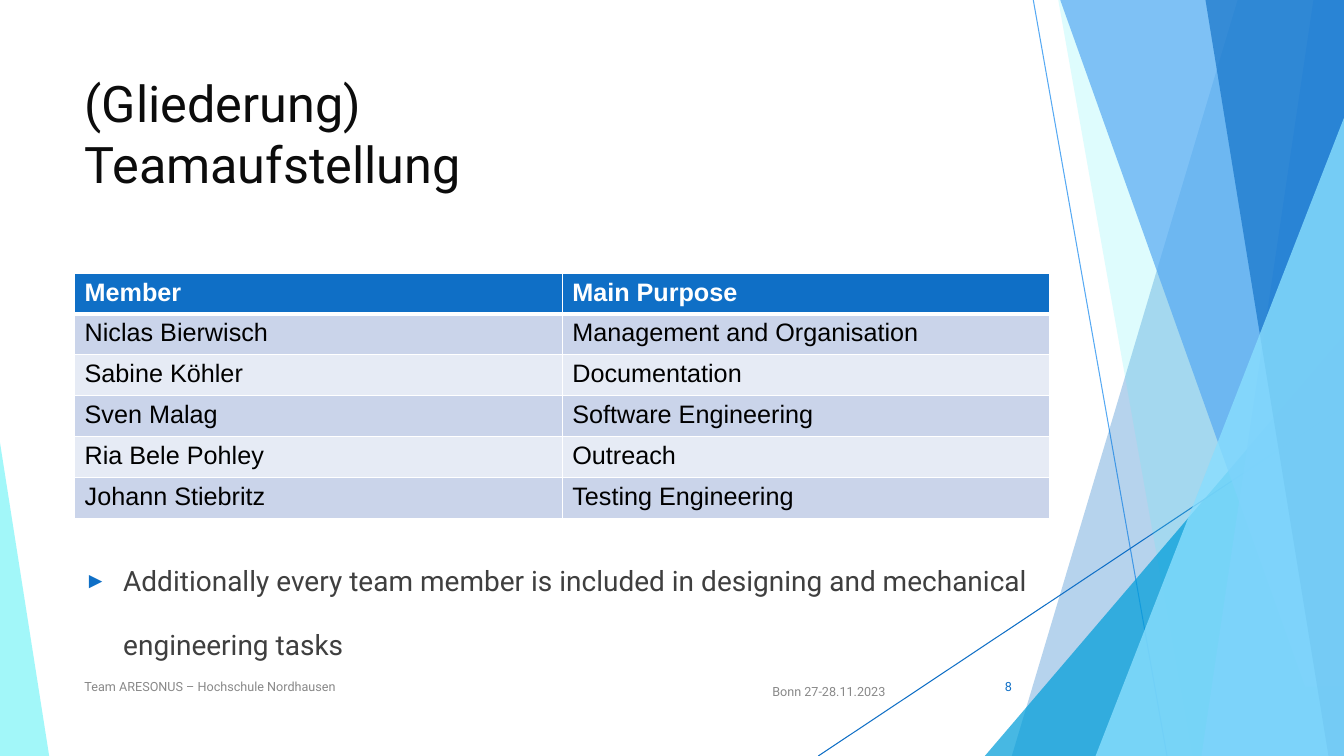
from lxml.etree import SubElement
from pptx import Presentation
from pptx.dml.color import RGBColor
from pptx.enum.shapes import MSO_CONNECTOR as Connector, MSO_SHAPE as Shape
from pptx.enum.text import MSO_ANCHOR as Anchor, MSO_AUTO_SIZE as AutoSize, PP_ALIGN as Align
from pptx.oxml.ns import qn
from pptx.util import Cm, Pt

WIDTH, HEIGHT = 33.87, 19.05
BLUE, SKY, WHITE, GREY = "0F6FC6", "56A9F3", "FFFFFF", "888888"
TEAM = [
    ("Member", "Main Purpose"),
    ("Niclas Bierwisch", "Management and Organisation"),
    ("Sabine Köhler", "Documentation"),
    ("Sven Malag", "Software Engineering"),
    ("Ria Bele Pohley", "Outreach"),
    ("Johann Stiebritz", "Testing Engineering"),
]


def color(hex_code):
    """Turn a hex string into a colour."""
    return RGBColor.from_string(hex_code)


def place(part, box):
    """Move a part to a box given in centimetres."""
    part.left, part.top, part.width, part.height = map(Cm, box)


def style(paragraph, size, hex_code, font="Roboto", bold=False):
    """Format every run of a paragraph."""
    for run in paragraph.runs:
        run.font.size = Pt(size)
        run.font.name = font
        run.font.bold = bold
        run.font.color.rgb = color(hex_code)


def paint(facet, hex_code, opacity):
    """Give a facet a translucent fill without outline or shadow."""
    facet.shadow.inherit = False
    facet.fill.solid()
    facet.fill.fore_color.rgb = color(hex_code)
    tint = facet._element.spPr.find(".//" + qn("a:srgbClr"))
    SubElement(tint, qn("a:alpha")).set("val", str(opacity * 1000))
    facet.line.fill.background()


def add_ray(slide, start, end, hex_code):
    """Draw a thin decorative line."""
    ray = slide.shapes.add_connector(Connector.STRAIGHT, *map(Cm, start + end))
    ray.line.color.rgb = color(hex_code)
    ray.line.width = Pt(0.75)
    SubElement(ray._element.spPr, qn("a:effectLst"))


def add_band(slide, top_x, bottom_x, bottom, hex_code, opacity):
    """Draw a facet from a slanted left side to the right slide edge."""
    corners = [(WIDTH, 0), (WIDTH, bottom), (bottom_x, bottom)]
    outline = slide.shapes.build_freeform(Cm(top_x), 0)
    outline.add_line_segments([(Cm(x), Cm(y)) for x, y in corners])
    paint(outline.convert_to_shape(), hex_code, opacity)


def add_wedge(slide, left, top, width, apex, hex_code, opacity):
    """Draw a triangle standing on the bottom slide edge."""
    box = left, top, width, HEIGHT - top
    wedge = slide.shapes.add_shape(Shape.ISOSCELES_TRIANGLE, *map(Cm, box))
    wedge.adjustments[0] = apex
    paint(wedge, hex_code, opacity)


def add_facets(slide):
    """Draw the decoration at the left and right edges."""
    add_ray(slide, (26.04, 0), (29.41, HEIGHT), SKY)
    add_ray(slide, (WIDTH, 10.24), (20.62, HEIGHT), BLUE)
    add_band(slide, 31.19, 25.5, HEIGHT, BLUE, 30)
    add_band(slide, 26.67, 30.05, HEIGHT, "5CF0F7", 20)
    add_wedge(slide, 24.82, 8.46, 9.05, 1, "009DD9", 72)
    add_band(slide, 26.72, 32.89, 17.3, SKY, 70)
    add_band(slide, 33.1, 30.28, HEIGHT, SKY, 70)
    add_band(slide, 30.38, 33.48, HEIGHT, BLUE, 65)
    add_wedge(slide, 0, 11.15, 1.24, 0, "92F6F9", 85)
    add_wedge(slide, 27.61, 2.97, 6.26, 1, "89DEFE", 80)


def fill_title(title, box):
    """Write the heading into the title placeholder."""
    place(title, box)
    frame = title.text_frame
    frame.text = "(Gliederung)\vTeamaufstellung"
    frame.auto_size = AutoSize.NONE
    frame.vertical_anchor = Anchor.TOP
    frame.paragraphs[0].alignment = Align.LEFT
    style(frame.paragraphs[0], 36, "0C0C0C")


def fill_remark(body, box):
    """Write the bulleted remark into the body placeholder."""
    place(body, box)
    frame = body.text_frame
    frame.text = ("Additionally every team member is included in designing "
                  "and mechanical engineering tasks")
    frame.auto_size = AutoSize.NONE
    remark = frame.paragraphs[0]
    remark.line_spacing = 1.9
    remark.space_before = Pt(0)
    style(remark, 20, "3F3F3F")
    props = remark._p.get_or_add_pPr()
    props.set("marL", str(Cm(0.97)))
    props.set("indent", str(-Cm(0.97)))
    SubElement(SubElement(props, qn("a:buClr")), qn("a:srgbClr")).set("val", BLUE)
    SubElement(props, qn("a:buSzPct")).set("val", "80000")
    SubElement(props, qn("a:buFont")).set("typeface", "Arial")
    SubElement(props, qn("a:buChar")).set("char", "►")


def add_borders(cell, bottom_width):
    """Draw white lines around a cell."""
    props = cell._tc.get_or_add_tcPr()
    for side, width in (("L", 1), ("R", 1), ("T", 1), ("B", bottom_width)):
        border = SubElement(props, qn("a:ln" + side), w=str(Pt(width)))
        solid = SubElement(border, qn("a:solidFill"))
        SubElement(solid, qn("a:srgbClr")).set("val", WHITE)


def add_team_table(slide, box):
    """Build the table of members and their purposes."""
    header_height = 0.94
    row_height = (box[3] - header_height) / (len(TEAM) - 1)
    table = slide.shapes.add_table(len(TEAM), 2, *map(Cm, box)).table
    for row, entry in enumerate(TEAM):
        is_header = row == 0
        table.rows[row].height = Cm(header_height if is_header else row_height)
        shade = BLUE if is_header else ("E6EBF5", "CAD4EA")[row % 2]
        for column, words in enumerate(entry):
            cell = table.cell(row, column)
            cell.text = words
            style(cell.text_frame.paragraphs[0], 18,
                  WHITE if is_header else "000000", "Arial", is_header)
            add_borders(cell, 3 if row == 0 else 1)
            cell.fill.solid()
            cell.fill.fore_color.rgb = color(shade)


def add_footer_note(slide, box, words, hex_code, alignment):
    """Add one small footer text."""
    frame = slide.shapes.add_textbox(*map(Cm, box)).text_frame
    frame.word_wrap = True
    frame.vertical_anchor = Anchor.MIDDLE
    frame.text = words
    frame.paragraphs[0].alignment = alignment
    style(frame.paragraphs[0], 9, hex_code)


def add_footer(slide, left, top):
    """Place the date, team and slide number along the footer."""
    add_footer_note(slide, (left + 16.84, top + 0.25, 3.84, 0.76),
                    "Bonn 27-28.11.2023", GREY, Align.RIGHT)
    add_footer_note(slide, (left, top, 17.5, 1.02),
                    "Team ARESONUS – Hochschule Nordhausen", GREY, Align.LEFT)
    add_footer_note(slide, (left + 21.97, top, 1.9, 1.02), "8", BLUE, Align.RIGHT)


def build_team_slide(deck):
    """Compose the team slide."""
    left = 1.88
    slide = deck.slides.add_slide(deck.slide_layouts[1])
    add_facets(slide)
    fill_title(slide.shapes.title, (left, 1.7, 23.88, 3.66))
    fill_remark(slide.placeholders[1], (left, 13.32, 26.44, 3.44))
    add_footer(slide, left, 16.79)
    add_team_table(slide, (left, 6.89, 24.58, 6.09))


def main():
    """Create and save the deck."""
    deck = Presentation()
    deck.slide_width, deck.slide_height = Cm(WIDTH), Cm(HEIGHT)
    build_team_slide(deck)
    deck.save("out.pptx")


if __name__ == "__main__":
    main()
